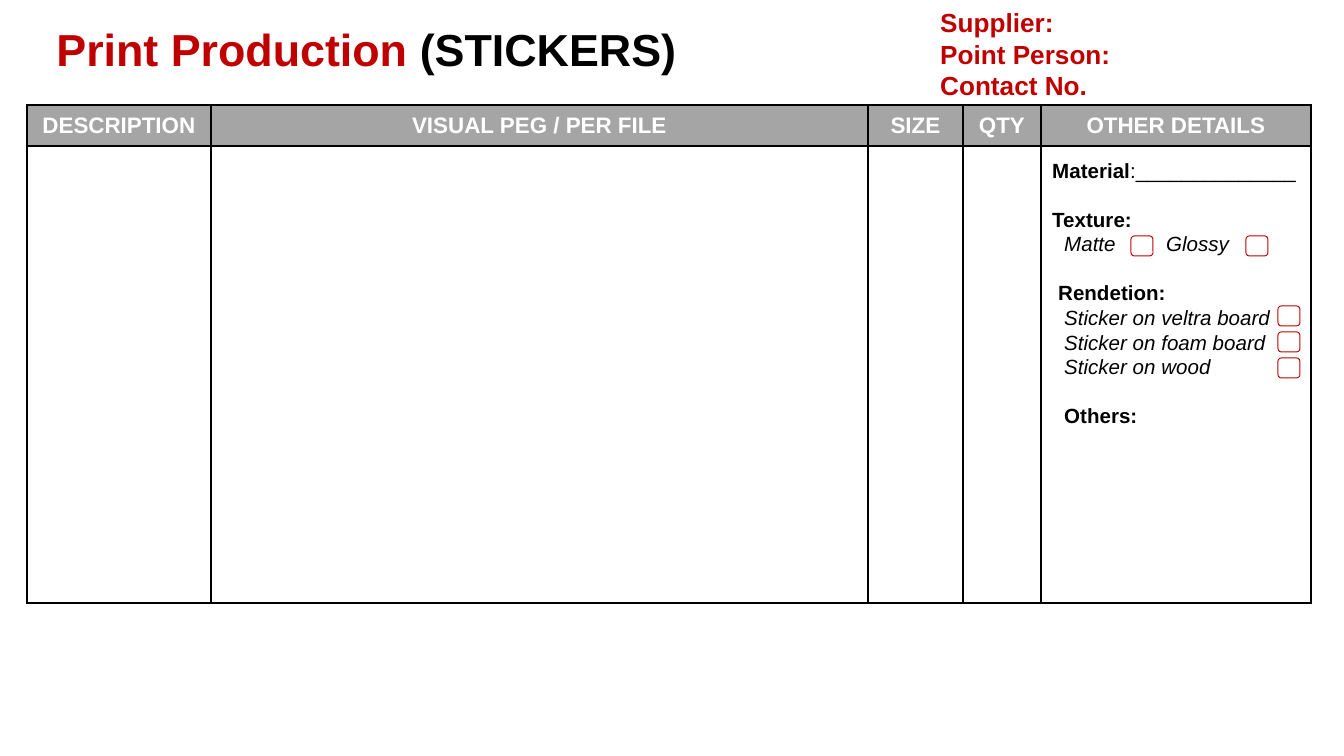
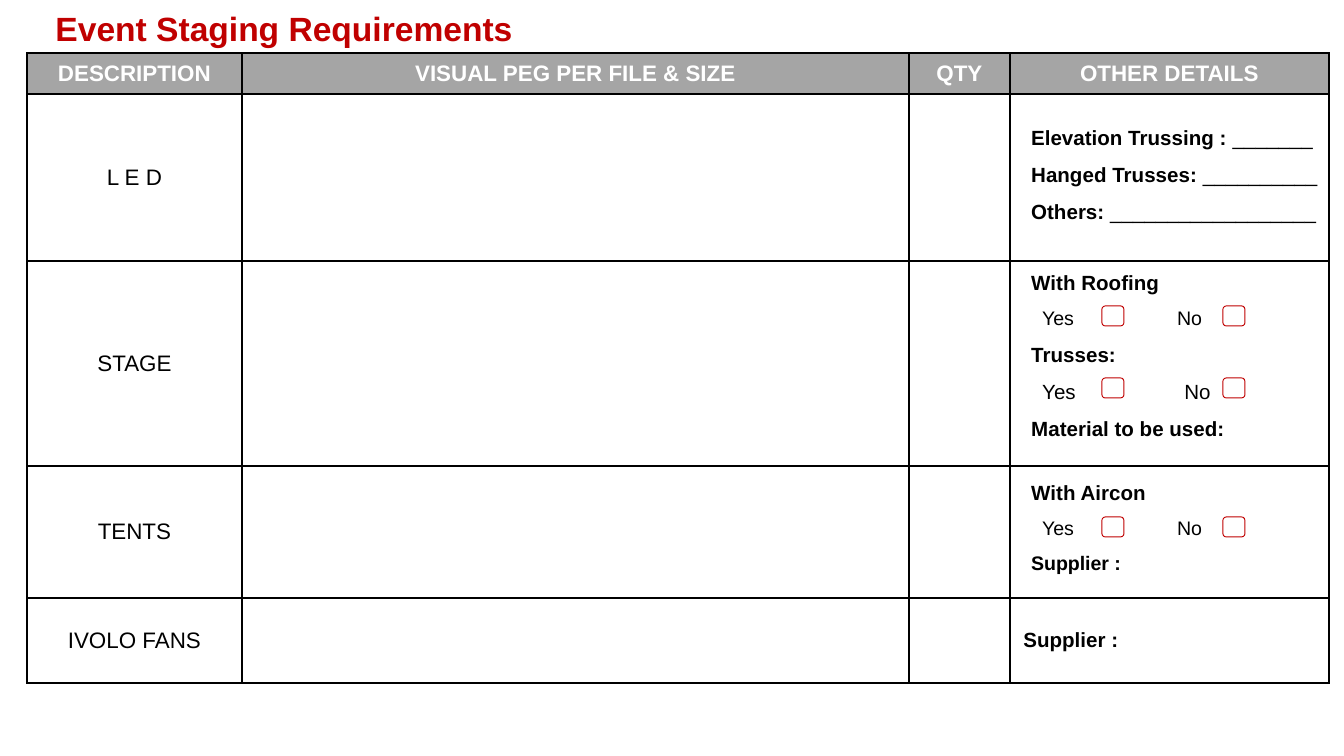
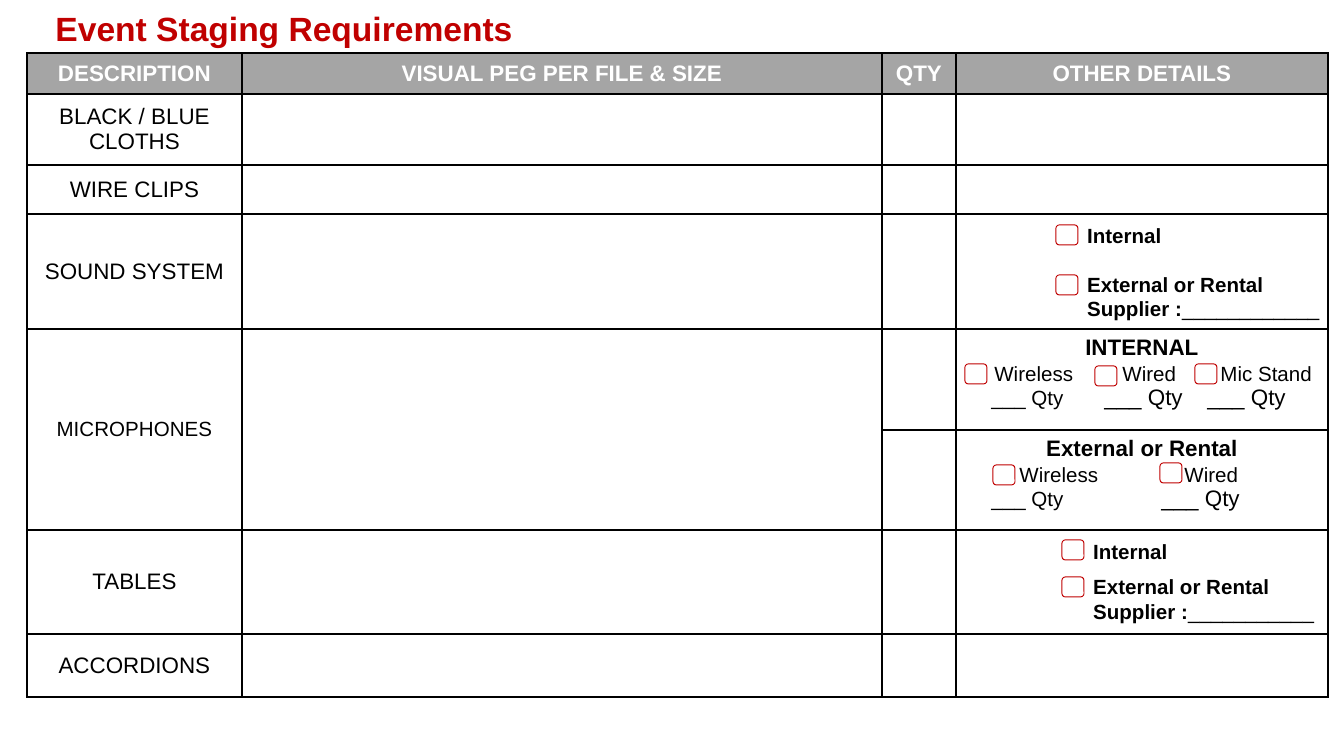
from dataclasses import dataclass
from itertools import product

from lxml import etree
from pptx import Presentation
from pptx.dml.color import RGBColor
from pptx.enum.shapes import MSO_SHAPE
from pptx.enum.text import MSO_ANCHOR, MSO_AUTO_SIZE, PP_ALIGN
from pptx.oxml.ns import qn
from pptx.util import Emu, Pt

PIXEL = 914400 / 134.4
LEFT, CENTER = PP_ALIGN.LEFT, PP_ALIGN.CENTER
TOP, MIDDLE = MSO_ANCHOR.TOP, MSO_ANCHOR.MIDDLE
NO_AUTOFIT = MSO_AUTO_SIZE.NONE
ROUNDED = MSO_SHAPE.ROUNDED_RECTANGLE
TITLE_ONLY = 5
TABLE_LEFT = 27
HEADER_HEIGHT = 41
CHECKBOX_SIZE = (22, 20)


@dataclass(frozen=True)
class Theme:
    font: str = "Arial"
    red: str = "C00000"
    black: str = "000000"
    white: str = "FFFFFF"
    gray: str = "A5A5A5"
    main_title: float = 24
    title: float = 18
    contact: float = 14
    table: float = 12
    body: float = 11
    small: float = 10.5
    border: float = 1
    checkbox_line: float = 0.5


THEME = Theme()


@dataclass
class Line:
    spans: list
    align: int = LEFT
    spacing: float = 1.0
    before: float = 0
    indent: int = 0
    tabs: tuple = ()


def px(value):
    return Emu(round(value * PIXEL))


def rgb(value):
    return RGBColor.from_string(value)


def span(text, **changes):
    look = {"size": THEME.body, "bold": False, "italic": False, "color": THEME.black}
    return text, {**look, **changes}


def bold(text, **changes):
    return span(text, bold=True, **changes)


def italic(text):
    return span(text, italic=True)


def centered(text, **changes):
    return [Line([span(text, **{"size": THEME.table, **changes})], align=CENTER)]


def set_attributes(target, values):
    for name, value in values.items():
        setattr(target, name, value)


def write_lines(frame, lines):
    for index, line in enumerate(lines):
        para = frame.paragraphs[0] if index == 0 else frame.add_paragraph()
        set_attributes(para, {"alignment": line.align, "line_spacing": line.spacing,
                              "space_before": Pt(line.before)})
        properties = para._p.get_or_add_pPr()
        if line.indent:
            properties.set("marL", str(px(line.indent)))
        if line.tabs:
            stops = etree.SubElement(properties, qn("a:tabLst"))
            for stop in line.tabs:
                etree.SubElement(stops, qn("a:tab"), pos=str(px(stop)), algn="l")
        for text, look in line.spans:
            run = para.add_run()
            run.text = text
            set_attributes(run.font, {"name": THEME.font, "size": Pt(look["size"]),
                                      "bold": look["bold"], "italic": look["italic"]})
            run.font.color.rgb = rgb(look["color"])


def add_page(deck, title_spans, title_box):
    page = deck.slides.add_slide(deck.slide_layouts[TITLE_ONLY])
    title = page.shapes.title
    names = ("left", "top", "width", "height")
    set_attributes(title, dict(zip(names, map(px, title_box))))
    set_attributes(title.text_frame, {"auto_size": NO_AUTOFIT, "word_wrap": True,
                                      "vertical_anchor": TOP})
    write_lines(title.text_frame, [Line(title_spans)])
    return page


def add_staging_page(deck):
    title = bold("Event Staging Requirements", size=THEME.title, color=THEME.red)
    return add_page(deck, [title], (42, 1, 657, 54))


def add_text(page, box, lines):
    frame = page.shapes.add_textbox(*map(px, box)).text_frame
    frame.word_wrap = True
    write_lines(frame, lines)


def add_checkboxes(page, corners):
    for corner in corners:
        box = page.shapes.add_shape(ROUNDED, *map(px, corner + CHECKBOX_SIZE))
        box.shadow.inherit = False
        box.fill.background()
        box.line.color.rgb = rgb(THEME.red)
        box.line.width = Pt(THEME.checkbox_line)


def add_borders(cell):
    properties = cell._tc.get_or_add_tcPr()
    for index, side in enumerate(("a:lnL", "a:lnR", "a:lnT", "a:lnB")):
        edge = etree.Element(qn(side), w=str(Pt(THEME.border)))
        fill = etree.SubElement(edge, qn("a:solidFill"))
        etree.SubElement(fill, qn("a:srgbClr"), val=THEME.black)
        properties.insert(index, edge)


def format_cell(cell, lines, is_header, anchor):
    if is_header:
        cell.fill.solid()
        cell.fill.fore_color.rgb = rgb(THEME.gray)
    else:
        cell.fill.background()
    add_borders(cell)
    cell.vertical_anchor = anchor
    if lines:
        write_lines(cell.text_frame, lines)
    else:
        para = cell.text_frame.paragraphs[0]
        etree.SubElement(para._p, qn("a:endParaRPr"), sz=str(THEME.table * 100))


def add_form_table(page, top, widths, heights, headings, contents, top_cells=()):
    heights = [HEADER_HEIGHT] + heights
    box = (TABLE_LEFT, top, sum(widths), sum(heights))
    table = page.shapes.add_table(len(heights), len(widths), *map(px, box)).table
    table.horz_banding = False
    for column, width in zip(table.columns, widths):
        column.width = px(width)
    for row, height in zip(table.rows, heights):
        row.height = px(height)
    for column, heading in enumerate(headings):
        contents[0, column] = centered(heading, bold=True, color=THEME.white)
    for place in product(range(len(heights)), range(len(widths))):
        anchor = TOP if place in top_cells else MIDDLE
        format_cell(table.cell(*place), contents.get(place), place[0] == 0, anchor)
    return table


def build_sticker_page(deck):
    title = [bold("Print Production ", size=THEME.main_title, color=THEME.red),
             bold("(STICKERS)", size=THEME.main_title)]
    page = add_page(deck, title, (43, 15, 657, 67))
    headings = ("DESCRIPTION", "VISUAL PEG / PER FILE", "SIZE", "QTY", "OTHER DETAILS")
    add_form_table(page, 105, (184, 657, 95, 78, 270), [457], headings, {})
    add_text(page, (1039, 151, 276, 288), [
        Line([bold("Material"), span(":______________")]),
        Line([bold("Texture:")], before=13),
        Line([italic("\tMatte\tGlossy")], tabs=(12, 114)),
        Line([bold("Rendetion:")], before=13, indent=6),
        Line([italic("Sticker on veltra board")], indent=12),
        Line([italic("Sticker on foam board")], indent=12),
        Line([italic("Sticker on wood")], indent=12),
        Line([bold("Others:")], before=13, indent=12),
    ])
    add_checkboxes(page, [(1131, 236), (1246, 236)])
    add_checkboxes(page, [(1278, y) for y in (306, 332, 358)])
    labels = ("Supplier:", "Point Person:", "Contact No.")
    add_text(page, (927, 0, 380, 109), [
        Line([bold(label, size=THEME.contact, color=THEME.red)]) for label in labels])


def yes_no(no_stop, size):
    return Line([span("\tYes\tNo", size=size)], spacing=1.5, tabs=(11, no_stop))


def build_staging_page(deck):
    page = add_staging_page(deck)
    headings = ("DESCRIPTION", "VISUAL PEG PER FILE & SIZE", "QTY", "OTHER DETAILS")
    items = ("L E D", "STAGE", "TENTS", "IVOLO FANS")
    contents = {(row, 0): centered(item) for row, item in enumerate(items, 1)}
    contents[4, 3] = [Line([bold("Supplier :")])]
    add_form_table(page, 53, (215, 667, 101, 319), [167, 205, 132, 85], headings, contents)
    blanks = (("Elevation Trussing : ", 7), ("Hanged Trusses: ", 10), ("Others: ", 18))
    add_text(page, (1018, 106, 332, 125), [
        Line([bold(label), span("_" * count)], spacing=1.5) for label, count in blanks])
    add_text(page, (1018, 263, 261, 188), [
        Line([bold("With Roofing")]),
        yes_no(146, THEME.small),
        Line([bold("Trusses:")], spacing=1.5),
        yes_no(153, THEME.body),
        Line([bold("Material to be used:")], spacing=1.5),
    ])
    add_text(page, (1018, 473, 261, 113), [
        Line([bold("With Aircon")]),
        yes_no(146, THEME.small),
        Line([bold("Supplier :", size=THEME.small)], spacing=1.5),
    ])
    add_checkboxes(page, [(x, y) for y in (306, 378, 517) for x in (1102, 1223)])


def microphone_lines(heading, kinds, kind_stops, quantity_stops):
    first, *others = ["\t___ Qty"] * len(kinds)
    return centered(heading, bold=True) + [
        Line([span("".join("\t" + kind for kind in kinds))], before=1, tabs=kind_stops),
        Line([span(first), span("".join(others), size=THEME.table)], tabs=quantity_stops),
    ]


def add_source_choice(page, box, gap, blank_count):
    add_text(page, box, [
        Line([bold("Internal")], indent=57),
        Line([bold("External or Rental")], before=gap, indent=57),
        Line([bold("Supplier :"), span("_" * blank_count)], indent=57),
    ])


def build_equipment_page(deck):
    page = add_staging_page(deck)
    headings = ("DESCRIPTION", "VISUAL PEG PER FILE & SIZE", "QTY", "OTHER DETAILS")
    items = {1: "BLACK / BLUE CLOTHS", 2: "WIRE CLIPS", 3: "SOUND SYSTEM",
             6: "TABLES", 7: "ACCORDIONS"}
    contents = {(row, 0): centered(item) for row, item in items.items()}
    contents[4, 0] = centered("MICROPHONES", size=THEME.body)
    contents[4, 3] = microphone_lines("INTERNAL", ("Wireless", "Wired", "Mic Stand"),
                                      (25, 153, 251), (22, 135, 238))
    contents[5, 3] = microphone_lines("External or Rental", ("Wireless", "Wired"),
                                      (50, 215), (22, 192))
    heights = [71, 49, 115, 101, 100, 104, 63]
    table = add_form_table(page, 53, (215, 640, 74, 372), heights, headings, contents,
                           top_cells=((4, 3), (5, 3)))
    for column in (0, 1):
        table.cell(4, column).merge(table.cell(5, column))
    add_source_choice(page, (1017, 216, 327, 113), 13, 12)
    add_source_choice(page, (1023, 532, 327, 99), 6, 11)
    add_checkboxes(page, [(1056, 225), (1056, 275), (965, 364), (1095, 366), (1195, 364),
                          (993, 465), (1160, 463), (1062, 540), (1062, 577)])


def main():
    deck = Presentation()
    deck.slide_width, deck.slide_height = px(1344), px(756)
    build_sticker_page(deck)
    build_staging_page(deck)
    build_equipment_page(deck)
    deck.save("out.pptx")


main()
